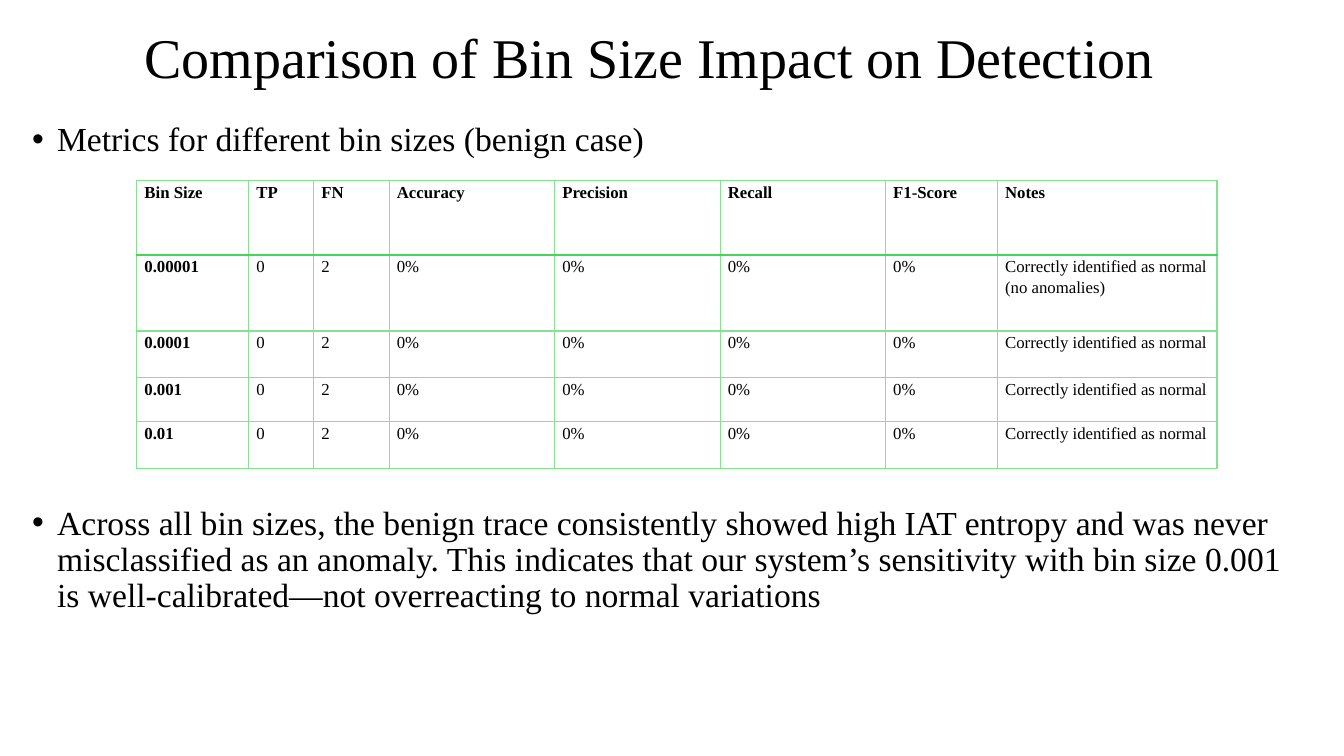
from dataclasses import dataclass

from lxml import etree
from pptx import Presentation
from pptx.dml.color import RGBColor
from pptx.enum.text import MSO_ANCHOR, MSO_AUTO_SIZE, PP_ALIGN
from pptx.oxml.ns import qn
from pptx.util import Cm, Pt

MIDDLE = MSO_ANCHOR.MIDDLE
TOP = MSO_ANCHOR.TOP
LEFT = PP_ALIGN.LEFT
NO_AUTOFIT = MSO_AUTO_SIZE.NONE
TITLE_ONLY = 5


@dataclass(frozen=True)
class Theme:
    """Colours, font and type sizes of the slide."""
    font: str = "Times New Roman"
    text: str = "000000"
    grid: str = "84E290"
    header_rule: str = "47D459"
    title_size: int = 40
    body_size: int = 24
    table_size: int = 12
    grid_width: float = 1
    header_rule_width: float = 1.5


THEME = Theme()
TITLE = "Comparison of Bin Size Impact on Detection"
BULLETS = [
    ("Metrics for different bin sizes (benign case)", 0),
    ("Across all bin sizes, the benign trace consistently showed high IAT entropy "
     "and was never misclassified as an anomaly. This indicates that our system’s "
     "sensitivity with bin size 0.001 is well-calibrated—not overreacting to normal "
     "variations", 248),
]
HEADERS = ["Bin Size", "TP", "FN", "Accuracy", "Precision", "Recall", "F1-Score", "Notes"]
RESULTS = ["0", "2", "0%", "0%", "0%", "0%"]
NORMAL = "Correctly identified as normal"
BIN_NOTES = [
    ("0.00001", NORMAL + " (no anomalies)"),
    ("0.0001", NORMAL),
    ("0.001", NORMAL),
    ("0.01", NORMAL),
]
COLUMN_WIDTHS = [2.82, 1.64, 1.9, 4.17, 4.17, 4.17, 2.82, 5.53]
ROW_HEIGHTS = [1.87, 1.92, 1.17, 1.12, 1.18]


def format_paragraph(para, size, spacing, bold=False):
    """Set the alignment, line spacing and font of a paragraph."""
    para.alignment = LEFT
    para.line_spacing = spacing
    for span in para.runs:
        span.font.name = THEME.font
        span.font.size = Pt(size)
        span.font.bold = bold
        span.font.color.rgb = RGBColor.from_string(THEME.text)


def add_title(page):
    """Place and format the title placeholder."""
    title = page.shapes.title
    title.left, title.top, title.width, title.height = Cm(0.58), Cm(0.05), Cm(32.72), Cm(2.92)
    frame = title.text_frame
    frame.text = TITLE
    frame.auto_size = NO_AUTOFIT
    frame.vertical_anchor = MIDDLE
    frame.margin_left = Cm(3.06)
    format_paragraph(frame.paragraphs[0], THEME.title_size, 0.9)


def add_bullet(para):
    """Give a paragraph a hanging round bullet."""
    properties = para._p.get_or_add_pPr()
    properties.set("marL", str(Cm(0.63)))
    properties.set("indent", str(-Cm(0.63)))
    font = etree.SubElement(properties, qn("a:buFont"))
    font.set("typeface", "Arial")
    bullet = etree.SubElement(properties, qn("a:buChar"))
    bullet.set("char", "•")


def add_body(page):
    """Add the bullets, spaced to leave room for the table."""
    box = page.shapes.add_textbox(Cm(0.56), Cm(2.97), Cm(32.72), Cm(15.72))
    frame = box.text_frame
    frame.word_wrap = True
    frame.text = "\n".join(text for text, gap in BULLETS)
    for para, (text, gap) in zip(frame.paragraphs, BULLETS):
        format_paragraph(para, THEME.body_size, 0.9)
        para.space_before = Pt(gap)
        add_bullet(para)


def set_border(cell, side, position, color, width):
    """Draw one solid border of a cell."""
    line = etree.Element(qn("a:ln" + side))
    line.set("w", str(Pt(width)))
    fill = etree.SubElement(line, qn("a:solidFill"))
    etree.SubElement(fill, qn("a:srgbClr")).set("val", color)
    cell._tc.get_or_add_tcPr().insert(position, line)


def format_cell(cell, text, row, column):
    """Fill in a cell and draw its borders."""
    cell.text = text
    cell.fill.background()
    cell.vertical_anchor = TOP
    cell.margin_left = cell.margin_right = Cm(0.19)
    cell.margin_top = cell.margin_bottom = 0
    para = cell.text_frame.paragraphs[0]
    format_paragraph(para, THEME.table_size, 1.15, bold=row == 0 or column == 0)
    para.space_after = Pt(8)
    for position, side in enumerate("LRTB"):
        if (row, side) in ((0, "B"), (1, "T")):
            set_border(cell, side, position, THEME.header_rule, THEME.header_rule_width)
        else:
            set_border(cell, side, position, THEME.grid, THEME.grid_width)


def add_metrics_table(page):
    """Add the table of metrics for each bin size."""
    rows = [HEADERS] + [[size, *RESULTS, note] for size, note in BIN_NOTES]
    table = page.shapes.add_table(
        len(rows), len(HEADERS), Cm(3.45), Cm(4.55),
        Cm(sum(COLUMN_WIDTHS)), Cm(sum(ROW_HEIGHTS))).table
    table.first_row = table.horz_banding = False
    for column, width in zip(table.columns, COLUMN_WIDTHS):
        column.width = Cm(width)
    for row, height in zip(table.rows, ROW_HEIGHTS):
        row.height = Cm(height)
    for row, texts in enumerate(rows):
        for column, text in enumerate(texts):
            format_cell(table.cell(row, column), text, row, column)


def main():
    """Build and save the slide."""
    deck = Presentation()
    deck.slide_width, deck.slide_height = Cm(33.87), Cm(19.05)
    page = deck.slides.add_slide(deck.slide_layouts[TITLE_ONLY])
    add_title(page)
    add_body(page)
    add_metrics_table(page)
    deck.save("out.pptx")


if __name__ == "__main__":
    main()
